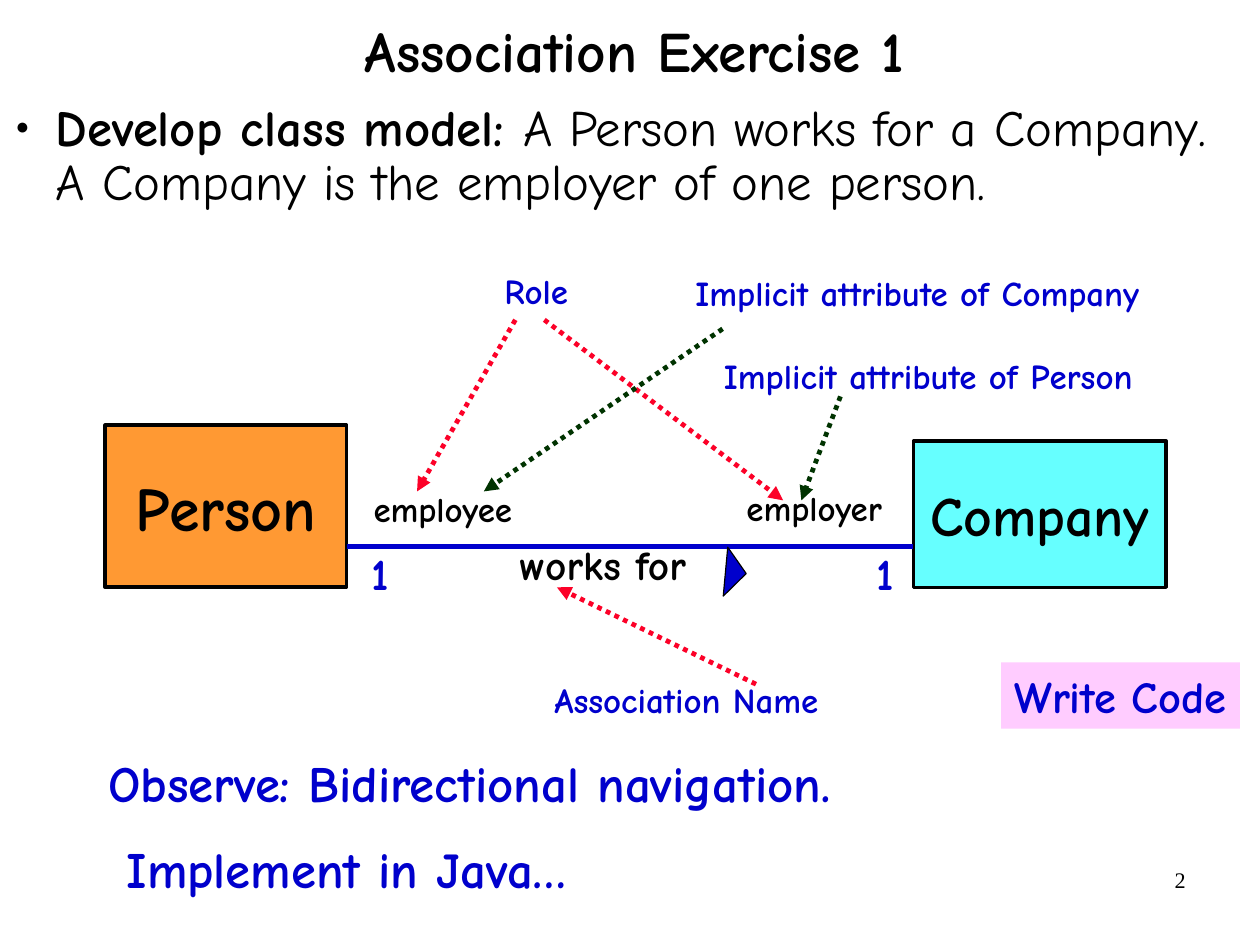
from dataclasses import dataclass

from lxml import etree
from pptx import Presentation
from pptx.dml.color import RGBColor
from pptx.enum.dml import MSO_LINE
from pptx.enum.shapes import MSO_CONNECTOR, MSO_SHAPE
from pptx.enum.text import MSO_ANCHOR, MSO_AUTO_SIZE, PP_ALIGN
from pptx.oxml.ns import qn
from pptx.util import Cm, Emu, Inches, Pt

LEFT, CENTER, RIGHT = PP_ALIGN.LEFT, PP_ALIGN.CENTER, PP_ALIGN.RIGHT
TOP, MIDDLE = MSO_ANCHOR.TOP, MSO_ANCHOR.MIDDLE
FIXED, GROW = MSO_AUTO_SIZE.NONE, MSO_AUTO_SIZE.SHAPE_TO_FIT_TEXT
RECTANGLE, TRIANGLE = MSO_SHAPE.RECTANGLE, MSO_SHAPE.ISOSCELES_TRIANGLE
STRAIGHT, DOTTED = MSO_CONNECTOR.STRAIGHT, MSO_LINE.ROUND_DOT

WIDTH, HEIGHT = Cm(28), Cm(21)
FONT = "Comic Neue"
COLORS = {
    "black": "000000", "white": "FFFFFF", "blue": "0000CC", "red": "FC0128",
    "green": "003300", "orange": "FF9933", "cyan": "66FFFF", "pink": "FFCCFF",
}


@dataclass
class Area:
    """A rectangle in percent of the slide's width and height."""
    left: float
    top: float
    width: float
    height: float


@dataclass
class Label:
    text: str
    area: Area
    size: float
    color: str = "blue"
    align: PP_ALIGN = CENTER
    fill: str = ""
    outline: str = ""
    anchor: MSO_ANCHOR = TOP
    wrap: bool = False
    spacing: float = 1.0
    font: str = FONT
    bold: bool = True


@dataclass
class Line:
    start: tuple[float, float]
    end: tuple[float, float]
    color: str
    arrow: bool = True


LABELS = [
    # Classes
    Label("Person", Area(8.35, 45, 19.15, 17.15), 39, "black", fill="orange",
          outline="black", anchor=MIDDLE),
    Label("Company", Area(72.5, 46.65, 20.05, 15.5), 35, "black", fill="cyan",
          outline="black", anchor=MIDDLE),
    # Association name, roles and multiplicities
    Label("works for", Area(40.25, 56.3, 15.3, 6.5), 26, "black", LEFT, outline="white"),
    Label("employee", Area(28.65, 50.9, 13.1, 5.8), 22, "black", LEFT, outline="white"),
    Label("employer", Area(58.35, 50.9, 15.9, 5.8), 22, "black", LEFT, wrap=True),
    Label("1", Area(28.5, 57.05, 3.35, 7), 28),
    Label("1", Area(68.6, 57.05, 3.35, 7), 28),
    # Explanations
    Label("Role", Area(39, 27.8, 7.1, 5.8), 22),
    Label("Implicit attribute of Company", Area(54.15, 28, 37.3, 5.8), 22),
    Label("Implicit attribute of Person", Area(56.4, 36.85, 34.55, 5.8), 22),
    Label("Association Name", Area(42.75, 71.05, 23.45, 5.8), 22),
    # Tasks
    Label("Write Code", Area(79.45, 70.1, 18.95, 7), 28, fill="pink"),
    Label("Observe: Bidirectional navigation.", Area(7.7, 80.2, 85.5, 6.4), 32,
          align=LEFT, wrap=True, spacing=0.8),
    Label("Implement in Java…", Area(9.15, 89.25, 85.5, 6.4), 32,
          align=LEFT, wrap=True, spacing=0.8),
    # Slide number
    Label("2", Area(71.7, 91.05, 23.3, 6.9), 14, "black", RIGHT, wrap=True,
          font="Times New Roman", bold=False),
]

LINES = [
    Line((27.5, 57.8), (72.5, 57.8), "blue", arrow=False),
    Line((60, 72.4), (44.2, 62.15), "red"),
    Line((40.9, 33.85), (33.1, 52), "red"),
    Line((43.2, 33.85), (62.15, 52.95), "red"),
    Line((57.35, 34.8), (38.4, 52), "green"),
    Line((66.7, 41.95), (63.6, 52.95), "green"),
]


def across(share: float) -> Emu:
    return Emu(round(WIDTH * share / 100))


def down(share: float) -> Emu:
    return Emu(round(HEIGHT * share / 100))


def bounds(area: Area) -> tuple[Emu, Emu, Emu, Emu]:
    return across(area.left), down(area.top), across(area.width), down(area.height)


def rgb(name: str) -> RGBColor:
    return RGBColor.from_string(COLORS[name])


def set_font(font, size: float, color: str, name: str = FONT) -> None:
    font.name, font.size = name, Pt(size)
    font.color.rgb = rgb(color)


def set_margins(frame, side: float, end: float) -> None:
    frame.margin_left = frame.margin_right = Inches(side)
    frame.margin_top = frame.margin_bottom = Inches(end)


def paint(shape, fill: str, outline: str, width: float) -> None:
    shape.shadow.inherit = False
    if fill:
        shape.fill.solid()
        shape.fill.fore_color.rgb = rgb(fill)
    else:
        shape.fill.background()
    if outline:
        shape.line.color.rgb = rgb(outline)
        shape.line.width = Pt(width)
    else:
        shape.line.fill.background()


def add_label(slide, label: Label) -> None:
    if label.fill or label.outline:
        shape = slide.shapes.add_shape(RECTANGLE, *bounds(label.area))
        paint(shape, label.fill, label.outline, 2.25)
    else:
        shape = slide.shapes.add_textbox(*bounds(label.area))
    frame = shape.text_frame
    frame.text = label.text
    frame.word_wrap = label.wrap
    frame.auto_size = FIXED if label.anchor == MIDDLE else GROW
    frame.vertical_anchor = label.anchor
    set_margins(frame, *((0.1, 0.05) if label.wrap else (0.11, 0.06)))
    paragraph = frame.paragraphs[0]
    paragraph.alignment = label.align
    paragraph.line_spacing = label.spacing
    set_font(paragraph.font, label.size, label.color, label.font)
    paragraph.font.bold = label.bold


def add_line(slide, line: Line) -> None:
    (x1, y1), (x2, y2) = line.start, line.end
    connector = slide.shapes.add_connector(
        STRAIGHT, across(x1), down(y1), across(x2), down(y2))
    connector.line.color.rgb = rgb(line.color)
    connector.line.width = Pt(3)
    if line.arrow:
        connector.line.dash_style = DOTTED
        etree.SubElement(connector.line._get_or_add_ln(), qn("a:tailEnd"), type="triangle")
    etree.SubElement(connector._element.spPr, qn("a:effectLst"))


def place(placeholder, area: Area, anchor: MSO_ANCHOR):
    """Move a placeholder and return its first paragraph."""
    placeholder.left, placeholder.top, placeholder.width, placeholder.height = bounds(area)
    frame = placeholder.text_frame
    frame.auto_size, frame.word_wrap, frame.vertical_anchor = FIXED, True, anchor
    set_margins(frame, 0, 0)
    paragraph = frame.paragraphs[0]
    paragraph.line_spacing, paragraph.space_before = 0.88, Pt(0)
    return paragraph


def add_bullet(paragraph) -> None:
    properties = paragraph._p.get_or_add_pPr()
    properties.set("marL", str(Inches(0.46)))
    properties.set("indent", str(Inches(-0.35)))
    color = etree.SubElement(properties, qn("a:buClr"))
    etree.SubElement(color, qn("a:srgbClr"), val=COLORS["black"])
    etree.SubElement(properties, qn("a:buSzPct"), val="45000")
    etree.SubElement(properties, qn("a:buChar"), char="●")


def main() -> None:
    presentation = Presentation()
    presentation.slide_width, presentation.slide_height = WIDTH, HEIGHT
    slide = presentation.slides.add_slide(presentation.slide_layouts[1])

    # Title and exercise
    title = place(slide.shapes.title, Area(7.7, -0.6, 85.3, 12.7), MIDDLE)
    title.text, title.alignment = "Association Exercise 1", CENTER
    set_font(title.font, 36, "black")
    title.font.bold = True
    exercise = place(slide.placeholders[1], Area(0.25, 10.95, 98.2, 59.4), TOP)
    add_bullet(exercise)
    exercise.space_after = Pt(13.8)
    set_font(exercise.font, 32, "black")
    for text, bold in (("Develop class model: ", True),
                       ("A Person works for a Company. "
                        "A Company is the employer of one person.", False)):
        run = exercise.add_run()
        run.text, run.font.bold = text, bold

    # Class diagram and its explanations
    for label in LABELS:
        add_label(slide, label)
    for line in LINES:
        add_line(slide, line)

    # Reading direction of the association
    direction = slide.shapes.add_shape(TRIANGLE, *bounds(Area(56.45, 59.5, 3.9, 2.2)))
    direction.rotation = 95.3
    paint(direction, "blue", "black", 0.75)

    presentation.save("out.pptx")


if __name__ == "__main__":
    main()
